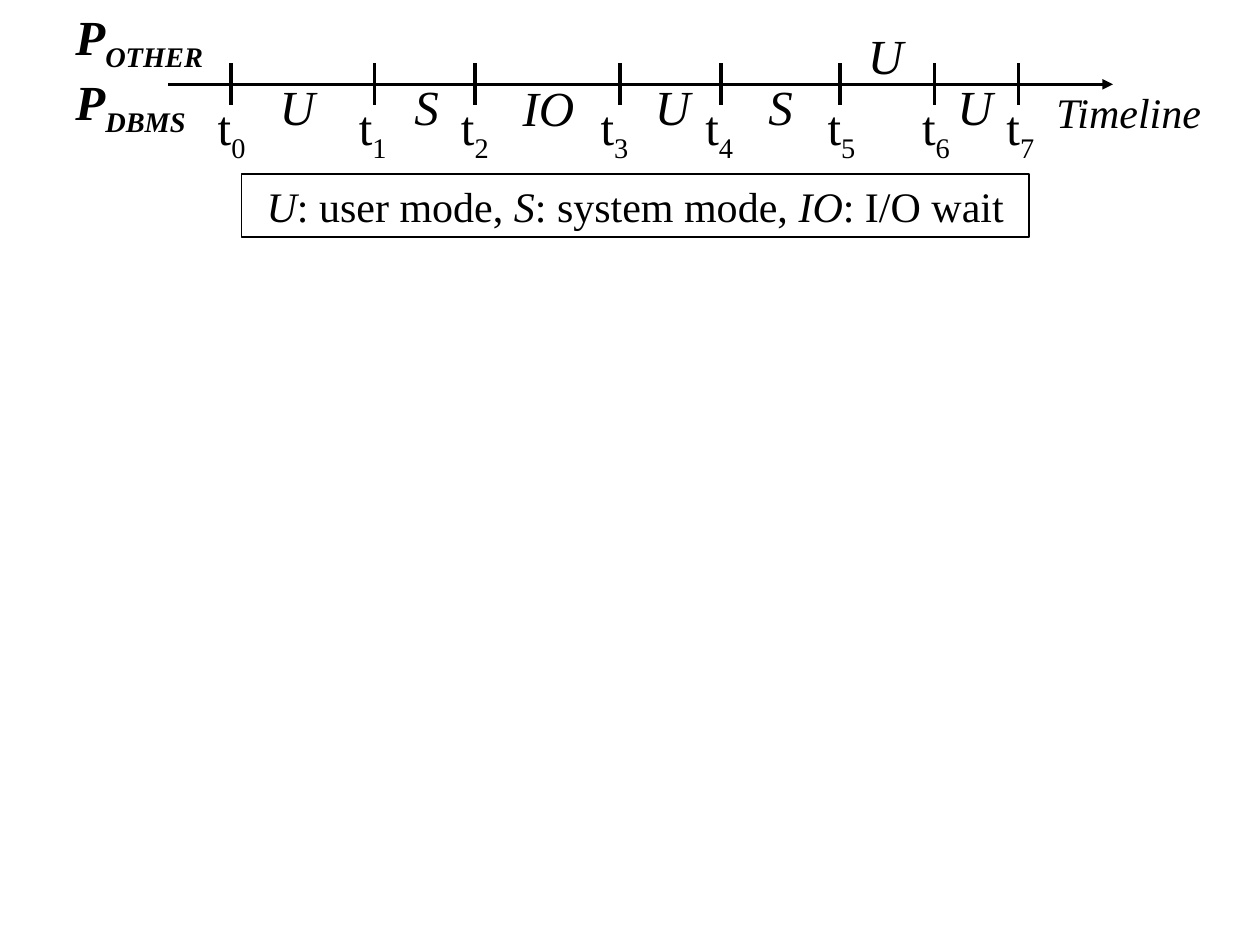
from pptx import Presentation
from pptx.util import Pt
from pptx.dml.color import RGBColor
from pptx.enum.shapes import MSO_CONNECTOR, MSO_SHAPE
from pptx.enum.text import MSO_ANCHOR, MSO_AUTO_SIZE, PP_ALIGN
from pptx.oxml.ns import qn
from lxml.etree import SubElement

FONT = "Times New Roman"
INK = "000000"
AXIS = 48.2
TICKS = [132, 214, 271.5, 354.2, 412, 480, 534, 582]
TIMES = [133.2, 213.8, 272.2, 352, 411.8, 481.7, 535.7, 583.9]
MODES = [("U", 170.3, 40.3), ("S", 244.1, 40.3), ("IO", 313.9, 41),
         ("U", 384.8, 40.3), ("S", 446.4, 40.3), ("U", 506.5, 10.8),
         ("U", 557.6, 40.3)]
WIDTHS = {"U": 35.3, "S": 28.8, "IO": 44.6}
OWNERS = [("DBMS", 37.4, 85.7), ("OTHER", 0, 96.5)]
LEGEND = [("U", "i"), (": user mode, ", ""), ("S", "i"),
          (": system mode, ", ""), ("IO", "i"), (": I/O wait", "")]

deck = Presentation()
deck.slide_width, deck.slide_height = Pt(720), Pt(540)
slide = deck.slides.add_slide(deck.slide_layouts[6])
shapes = slide.shapes


def color(code):
    return RGBColor.from_string(code)


def write(runs, left, top, width, height=41, size=28, wrap=False,
          align=PP_ALIGN.LEFT, frame=False):
    box = [Pt(n) for n in (left, top, width, height)]
    if frame:
        shape = shapes.add_shape(MSO_SHAPE.RECTANGLE, *box)
        shape.shadow.inherit = False
        shape.fill.background()
        shape.line.color.rgb = color(INK)
        shape.line.width = Pt(0.75)
    else:
        shape = shapes.add_textbox(*box)
    body = shape.text_frame
    body.word_wrap = wrap
    body.auto_size = MSO_AUTO_SIZE.SHAPE_TO_FIT_TEXT
    body.vertical_anchor = MSO_ANCHOR.TOP
    para = body.paragraphs[0]
    para.alignment = align
    for text, style in runs:
        run = para.add_run()
        run.text = text
        font = run.font
        font.name, font.size = FONT, Pt(size)
        font.color.rgb = color(INK)
        font.bold, font.italic = "b" in style, "i" in style
        if "s" in style:
            font._element.set("baseline", "-25000")


def draw(x1, y1, x2, y2, arrow=False):
    line = shapes.add_connector(MSO_CONNECTOR.STRAIGHT,
                                Pt(x1), Pt(y1), Pt(x2), Pt(y2))
    line.line.color.rgb = color(INK)
    line.line.width = Pt(2)
    if arrow:
        SubElement(line.line._get_or_add_ln(), qn("a:tailEnd"), type="triangle")
    SubElement(line._element.spPr, qn("a:effectLst"))


draw(96, AXIS, 636, AXIS, arrow=True)
for mode, mid, top in MODES:
    wide = WIDTHS[mode]
    write([(mode, "i")], mid - wide / 2, top, wide)
for owner, top, wide in OWNERS:
    write([("P", "bi"), (owner, "bis")], 36, top, wide)
for num, mid in enumerate(TIMES):
    write([("t", ""), (str(num), "s")], mid - 15.85, 51.8, 31.7)
for tick in TICKS:
    draw(tick, AXIS - 12, tick, AXIS + 12)
write(LEGEND, 138, 99.4, 450, height=36, size=24, wrap=True,
      align=PP_ALIGN.CENTER, frame=True)
write([("Timeline", "i")], 588, 46, 114, height=36, size=24, wrap=True,
      align=PP_ALIGN.CENTER)

deck.save("out.pptx")
